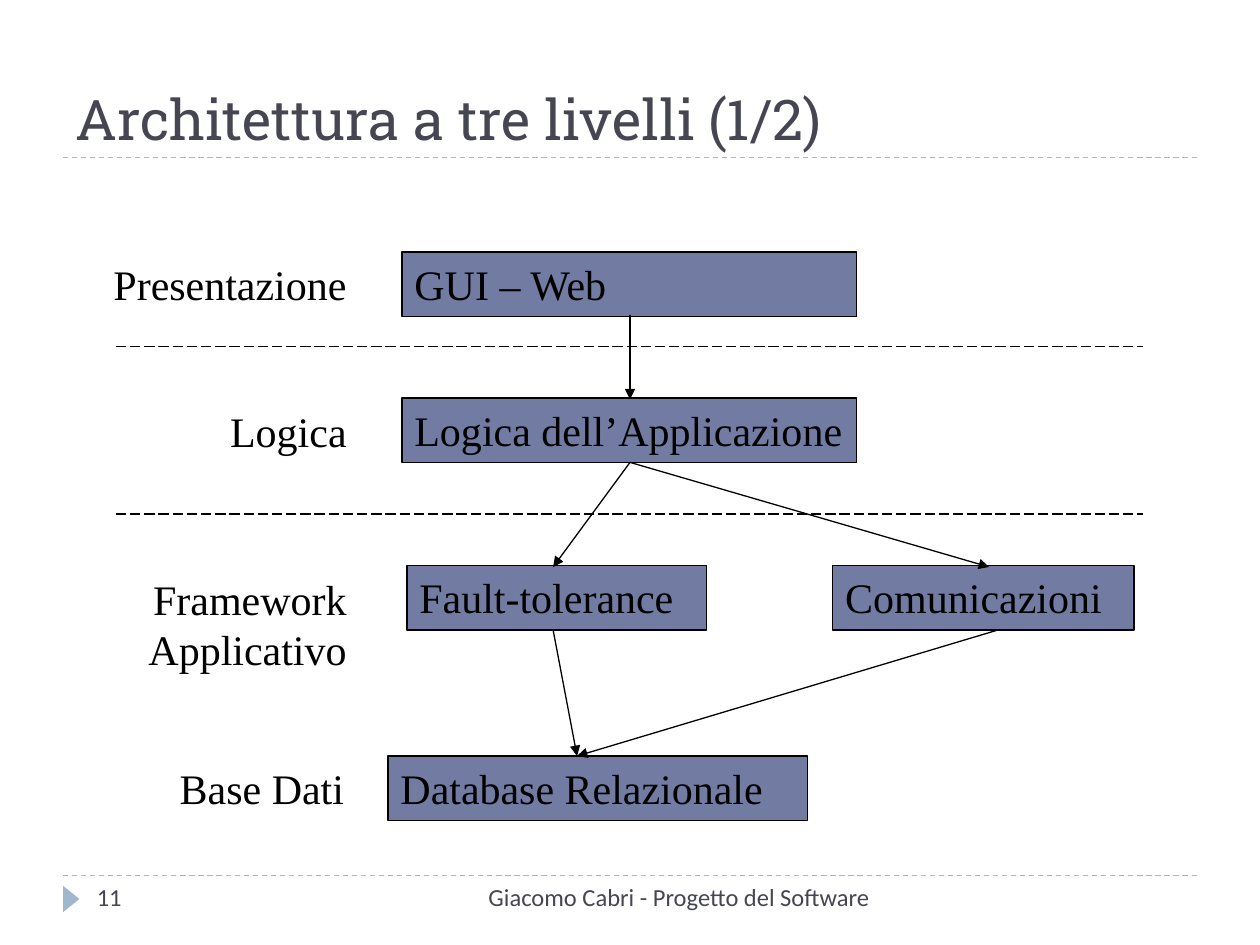
import pptx
import pptx.util
import pptx.dml.color
import pptx.enum.dml
import pptx.enum.shapes
import pptx.enum.text
import pptx.oxml.ns
import lxml.etree
from dataclasses import dataclass

Inches = pptx.util.Inches
Pt = pptx.util.Pt
Align = pptx.enum.text.PP_ALIGN
Anchor = pptx.enum.text.MSO_ANCHOR
Dash = pptx.enum.dml.MSO_LINE
Shape = pptx.enum.shapes.MSO_SHAPE
qn = pptx.oxml.ns.qn


@dataclass(frozen=True)
class Theme:
    ink: str = "000000"
    heading: str = "464653"
    block: str = "727CA3"
    accent: str = "9FB8CD"
    title_font: str = "Roboto Slab"
    body_font: str = "Times New Roman"
    footer_font: str = "Calibri"
    title_size: int = 32
    body_size: int = 24
    footer_size: int = 14
    line_width: float = 0.75


class Page:
    def __init__(self, deck, theme):
        self.theme = theme
        self.shapes = deck.slides.add_slide(deck.slide_layouts[6]).shapes

    def color(self, value):
        return pptx.dml.color.RGBColor.from_string(value)

    def set_text(self, box, text, font, size, color, align=Align.LEFT, anchor=Anchor.TOP):
        frame = box.text_frame
        frame.word_wrap = True
        frame.vertical_anchor = anchor
        para = frame.paragraphs[0]
        para.text = text
        para.alignment = align
        para.font.name = font
        para.font.size = Pt(size)
        para.font.color.rgb = self.color(color)

    def text(self, area, text, font, size, color, **layout):
        box = self.shapes.add_textbox(*map(Inches, area))
        self.set_text(box, text, font, size, color, **layout)

    def label(self, area, text):
        look = self.theme
        self.text(area, text, look.body_font, look.body_size, look.ink, align=Align.RIGHT)

    def footer(self, area, text, align):
        look = self.theme
        self.text(area, text, look.footer_font, look.footer_size, look.heading, align=align)

    def filled(self, kind, area, color):
        shape = self.shapes.add_shape(kind, *map(Inches, area))
        shape.shadow.inherit = False
        shape.fill.solid()
        shape.fill.fore_color.rgb = self.color(color)
        shape.line.fill.background()
        return shape

    def block(self, area, text):
        look = self.theme
        box = self.filled(Shape.RECTANGLE, area, look.block)
        box.line.color.rgb = self.color(look.ink)
        box.line.width = Pt(look.line_width)
        self.set_text(box, text, look.body_font, look.body_size, look.ink)

    def line(self, start, end, color, dash=None, arrow=False):
        line = self.shapes.add_connector(
            pptx.enum.shapes.MSO_CONNECTOR.STRAIGHT, *map(Inches, start + end))
        line.line.color.rgb = self.color(color)
        line.line.width = Pt(self.theme.line_width)
        if dash:
            line.line.dash_style = dash
        properties = line._element.spPr
        if arrow:
            tail = lxml.etree.SubElement(properties.get_or_add_ln(), qn("a:tailEnd"))
            tail.set("type", "triangle")
        lxml.etree.SubElement(properties, qn("a:effectLst"))


deck = pptx.Presentation()
deck.slide_width, deck.slide_height = Inches(10), Inches(7.5)
theme = Theme()
page = Page(deck, theme)

# Frame: rules, marker, title and footer
for y in (1.25, 6.95):
    page.line((0.5, y), (9.5, y), theme.accent, Dash.DASH)
marker = page.filled(Shape.ISOSCELES_TRIANGLE, (0.46, 7.07, 0.21, 0.13), theme.accent)
marker.rotation = 90
page.text((0.5, 0.25, 9, 1), "Architettura a tre livelli (1/2)", theme.title_font,
          theme.title_size, theme.heading, anchor=Anchor.BOTTOM)
page.footer((0.67, 6.95, 2.17, 0.4), "11", Align.LEFT)
page.footer((3.17, 6.95, 3.83, 0.4), "Giacomo Cabri - Progetto del Software", Align.RIGHT)

# Level separators
for y in (2.75, 4.08):
    page.line((0.92, y), (9.07, y), theme.ink, Dash.LONG_DASH)

# Level names
for area, name in (
    ((0.75, 2, 2.1, 0.5), "Presentazione"),
    ((0.85, 3.17, 2, 0.5), "Logica"),
    ((0.85, 4.5, 2, 0.9), "Framework Applicativo"),
    ((0.83, 6, 2, 0.5), "Base Dati"),
):
    page.label(area, name)

# Components
for left, top, width, name in (
    (3.19, 2, 3.61, "GUI – Web"),
    (3.19, 3.16, 3.61, "Logica dell’Applicazione"),
    (3.23, 4.49, 2.38, "Fault-tolerance"),
    (6.61, 4.49, 2.39, "Comunicazioni"),
    (3.08, 6, 3.33, "Database Relazionale"),
):
    page.block((left, top, width, 0.51), name)

# Dependencies
logic_exit, database_entry = (5, 3.67), (4.58, 6)
for start, end in (
    ((5, 2.5), (5, 3.17)),
    (logic_exit, (4.39, 4.5)),
    (logic_exit, (7.85, 4.5)),
    ((4.39, 5), database_entry),
    ((7.92, 5), database_entry),
):
    page.line(start, end, theme.ink, arrow=True)

deck.save("out.pptx")
